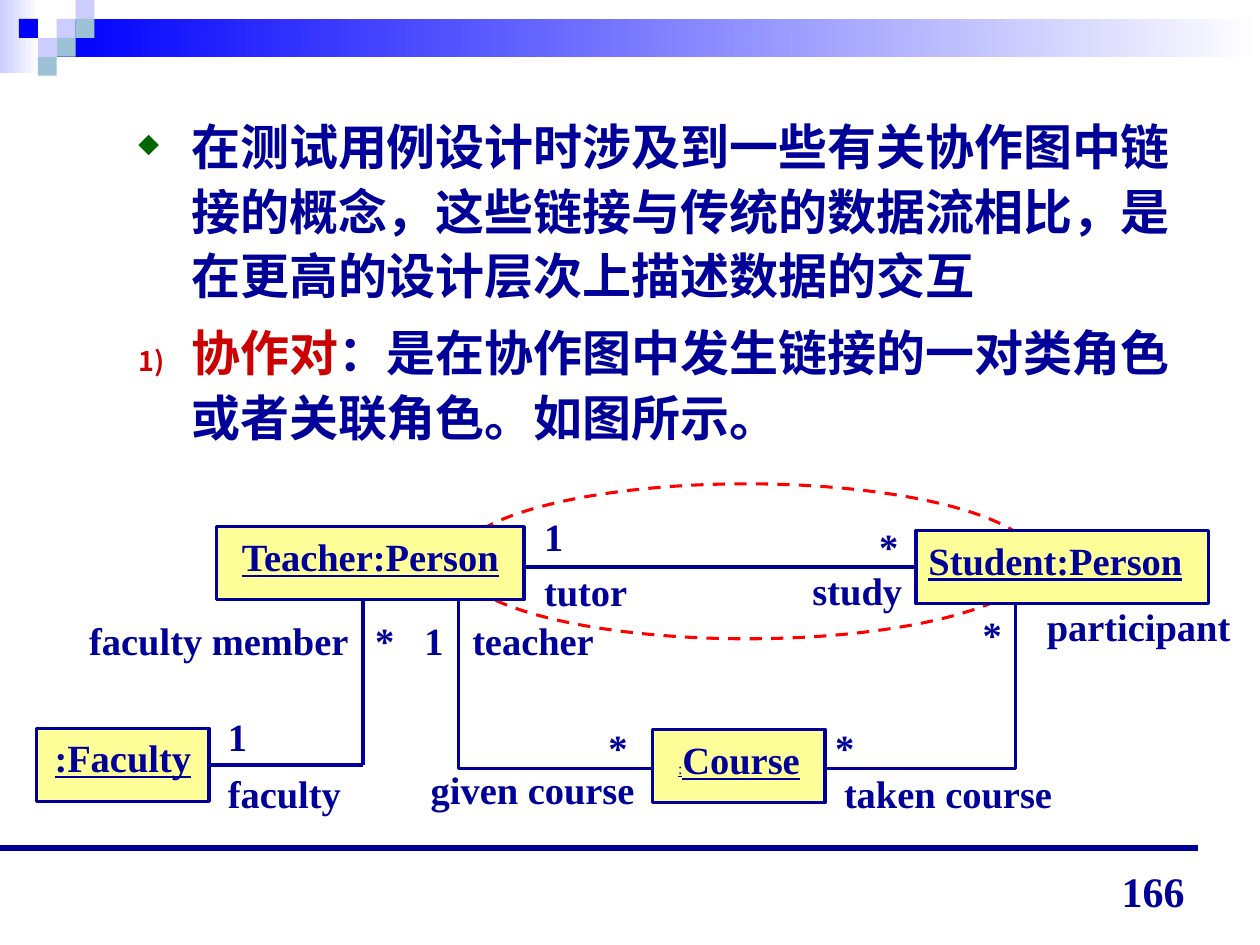
from pptx import Presentation
from pptx.dml.color import RGBColor
from pptx.enum.dml import MSO_LINE
from pptx.enum.shapes import MSO_CONNECTOR, MSO_SHAPE
from pptx.enum.text import MSO_ANCHOR, PP_ALIGN
from pptx.oxml.ns import qn
from pptx.util import Inches, Pt
from lxml import etree

RECT, OVAL = MSO_SHAPE.RECTANGLE, MSO_SHAPE.OVAL
LEFT, CENTER, RIGHT, JUSTIFY = PP_ALIGN.LEFT, PP_ALIGN.CENTER, PP_ALIGN.RIGHT, PP_ALIGN.JUSTIFY
TOP, BOTTOM = MSO_ANCHOR.TOP, MSO_ANCHOR.BOTTOM
RIGHT_SIDE = 3
FONT = "Times New Roman"
NAVY, RED, YELLOW, WHITE = "000099", "CC0000", "FFFF99", "FFFFFF"
LILAC, TEAL, BLUE = "CCCCFF", "9DC2D7", "0000FF"

# Header decoration: left, top, width, height, colour at the left end
HEADER_BANDS = [(0, 0, 0.31, 0.58, LILAC), (0.45, 0.15, 9.55, 0.3, BLUE)]
TILE = 0.15
# column, row, colour
HEADER_TILES = [(3, 1, LILAC), (4, 0, LILAC), (4, 1, TEAL), (2, 2, LILAC),
                (1, 1, BLUE), (3, 2, TEAL), (2, 3, TEAL)]

# bullet tag, bullet attributes, bullet colour, runs of (text, colour)
POINTS = [
    ("a:buChar", {"char": "◆"}, "006600",
     [("在测试用例设计时涉及到一些有关协作图中链接的概念，这些链接与传统的数据流相比，"
       "是在更高的设计层次上描述数据的交互", NAVY)]),
    ("a:buAutoNum", {"type": "arabicParenR"}, RED,
     [("协作对", RED),
      ("：是在协作图中发生链接的一对类角色或者关联角色。如图所示。", NAVY)]),
]

# left, top, width, alignment, runs of (text, size, bold)
ROLES = {
    "teacher": (1.72, 4.18, 2.44, CENTER, [("Teacher:Person", 22, True)]),
    "student": (7.27, 4.21, 2.32, JUSTIFY, [("Student:Person", 22, True)]),
    "course": (5.18, 5.79, 1.37, CENTER, [(":", 9, False), ("Course", 22, True)]),
    "faculty": (0.29, 5.78, 1.37, CENTER, [(":Faculty", 22, True)]),
}
ROW_HEIGHT = 0.58

# text, left, top, width
LABELS = [
    ("faculty", 1.71, 6.06, 1.14), ("tutor", 4.22, 4.46, 0.94),
    ("study", 6.35, 4.45, 1.07), ("given course", 3.32, 6.03, 2.04),
    ("taken course", 6.6, 6.06, 2.11), ("participant", 8.21, 4.74, 1.79),
    ("1", 4.22, 4.02, 0.57), ("1", 1.71, 5.61, 0.57),
    ("*", 6.88, 4.1, 0.57), ("*", 6.53, 5.7, 0.57),
    ("*", 7.7, 4.8, 0.57), ("*", 4.73, 5.7, 0.57),
]
TEACHER_ENDS = ("faculty member", "*", "1", "teacher")
TEACHER_END_TABS = (2.27, 2.66, 3.04)


def rgb(value):
    return RGBColor.from_string(value)


def add_child(parent, tag, **attributes):
    return etree.SubElement(parent, qn(tag), attributes)


def add_block(slide, shape, box, fill=None, line=None, weight=2):
    block = slide.shapes.add_shape(shape, *map(Inches, box))
    block.shadow.inherit = False
    if fill:
        block.fill.solid()
        block.fill.fore_color.rgb = rgb(fill)
    else:
        block.fill.background()
    if line:
        block.line.color.rgb = rgb(line)
        block.line.width = Pt(weight)
    else:
        block.line.fill.background()
    return block


def add_line(slide, start, end, weight=2):
    line = slide.shapes.add_connector(MSO_CONNECTOR.STRAIGHT, *map(Inches, start + end))
    line.line.color.rgb = rgb(NAVY)
    line.line.width = Pt(weight)
    add_child(line._element.spPr, "a:effectLst")
    return line


def add_run(paragraph, text, size=22, color=NAVY, bold=True, underline=None):
    run = paragraph.add_run()
    run.text = text
    font = run.font
    font.name, font.size, font.bold, font.underline = FONT, Pt(size), bold, underline
    font.color.rgb = rgb(color)


def add_text(slide, text, box, align=JUSTIFY, anchor=TOP, tabs=(), **style):
    frame = slide.shapes.add_textbox(*map(Inches, box)).text_frame
    frame.word_wrap = True
    frame.vertical_anchor = anchor
    paragraph = frame.paragraphs[0]
    paragraph.alignment = align
    if tabs:
        stops = add_child(paragraph._p.get_or_add_pPr(), "a:tabLst")
        for stop in tabs:
            add_child(stops, "a:tab", pos=str(Inches(stop)), algn="l")
    if text:
        add_run(paragraph, text, **style)
    return frame


def add_header(slide):
    for *box, color in HEADER_BANDS:
        band = add_block(slide, RECT, box)
        band.fill.gradient()
        band.fill.gradient_angle = 180
        for stop, shade in zip(band.fill.gradient_stops, (WHITE, color)):
            stop.color.rgb = rgb(shade)
    for column, row, color in HEADER_TILES:
        add_block(slide, RECT, (column * TILE, row * TILE, TILE, TILE), color)


def add_points(slide):
    frame = add_text(slide, "", (0.5, 0.83, 9, 3), align=LEFT)
    for index, (tag, attributes, bullet_color, runs) in enumerate(POINTS):
        paragraph = frame.add_paragraph() if index else frame.paragraphs[0]
        properties = paragraph._p.get_or_add_pPr()
        properties.set("marL", str(Inches(0.92)))
        properties.set("indent", str(Inches(-0.42)))
        add_child(add_child(properties, "a:buClr"), "a:srgbClr", val=bullet_color)
        add_child(properties, "a:buSzPct", val="55000")
        add_child(properties, tag, **attributes)
        paragraph.line_spacing = 1.1
        paragraph.space_before = Pt(7 if index else 0)
        for text, color in runs:
            add_run(paragraph, text, size=28, color=color)


def add_diagram(slide):
    pair = add_block(slide, OVAL, (3.62, 3.84, 4.61, 1.23), WHITE, "FF0000", 1.75)
    pair.line.dash_style = MSO_LINE.DASH
    # One outline carries the links teacher-student, teacher-course and student-course
    add_block(slide, RECT, (3.64, 4.5, 4.42, 1.6), line=NAVY)

    boxes = {}
    for role, (left, top, width, align, runs) in ROLES.items():
        box = add_block(slide, RECT, (left, top, width, ROW_HEIGHT), YELLOW, NAVY)
        box.text_frame.word_wrap = True
        box.text_frame.vertical_anchor = TOP
        paragraph = box.text_frame.paragraphs[0]
        paragraph.alignment = align
        for text, size, bold in runs:
            add_run(paragraph, text, size=size, bold=bold, underline=True)
        boxes[role] = box

    corner = (2.88, 6.07)
    faculty_link = add_line(slide, (1.66, 6.07), corner)
    faculty_link.begin_connect(boxes["faculty"], RIGHT_SIDE)
    add_line(slide, (2.88, 4.77), corner)

    for text, left, top, width in LABELS:
        add_text(slide, text, (left, top, width, ROW_HEIGHT))
    add_text(slide, "\t".join(TEACHER_ENDS), (0.61, 4.85, 4.56, ROW_HEIGHT),
             align=LEFT, tabs=TEACHER_END_TABS)


def main():
    deck = Presentation()
    deck.slide_width, deck.slide_height = Inches(10), Inches(7.5)
    slide = deck.slides.add_slide(deck.slide_layouts[6])
    add_header(slide)
    add_line(slide, (0, 6.73), (9.51, 6.73), weight=3.25)
    add_points(slide)
    add_diagram(slide)
    add_text(slide, "166", (7.17, 6.82, 2.33, 0.5), align=RIGHT, anchor=BOTTOM, size=24)
    deck.save("out.pptx")


if __name__ == "__main__":
    main()
